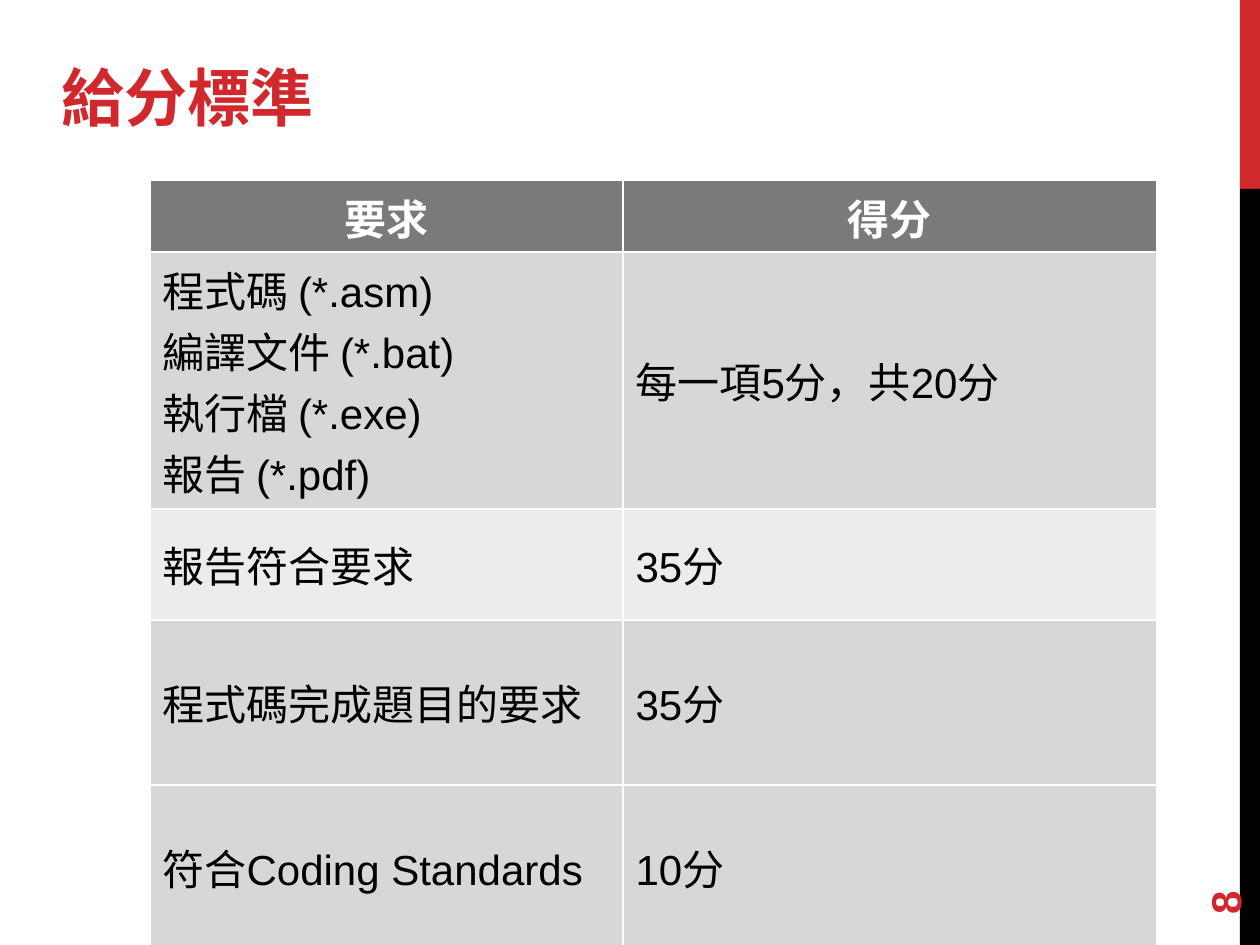
from pptx import Presentation
from pptx.dml.color import RGBColor
from pptx.enum.shapes import MSO_SHAPE as Shape
from pptx.enum.text import MSO_ANCHOR as Anchor, PP_ALIGN as Align
from pptx.util import Emu, Pt

PIXEL = 914400 // 126
RED = RGBColor(0xD1, 0x28, 0x2E)
BLACK = RGBColor(0, 0, 0)
WHITE = RGBColor(0xFF, 0xFF, 0xFF)
HEADER_GRAY = RGBColor(0x7A, 0x7A, 0x7A)
DARK_BAND = RGBColor(0xD7, 0xD7, 0xD7)
LIGHT_BAND = RGBColor(0xEC, 0xEC, 0xEC)

COLUMN_WIDTHS = (473, 534)
HEADINGS = ("要求", "得分")
# Each row: height, fill, requirement lines, score.
CRITERIA = (
    (257, DARK_BAND, ("程式碼 (*.asm)", "編譯文件 (*.bat)", "執行檔 (*.exe)", "報告 (*.pdf)"),
     "每一項5分，共20分"),
    (111, LIGHT_BAND, ("報告符合要求",), "35分"),
    (165, DARK_BAND, ("程式碼完成題目的要求",), "35分"),
    (165, DARK_BAND, ("符合Coding Standards",), "10分"),
)


def px(*lengths):
    """Turn pixel lengths into EMU."""
    return [Emu(length * PIXEL) for length in lengths]


def write_lines(frame, lines, size, color, bold=False, font="Arial", align=Align.LEFT):
    """Write one paragraph per line into a text frame."""
    for index, line in enumerate(lines):
        paragraph = frame.add_paragraph() if index else frame.paragraphs[0]
        paragraph.alignment = align
        run = paragraph.add_run()
        run.text = line
        run.font.name = font
        run.font.size = Pt(size)
        run.font.bold = bold
        run.font.color.rgb = color


def add_label(slide, box, line, size, anchor, font="Arial", rotation=0):
    """Place a bold red line of text in a box."""
    label = slide.shapes.add_textbox(*px(*box))
    label.rotation = rotation
    label.text_frame.word_wrap = True
    label.text_frame.vertical_anchor = anchor
    write_lines(label.text_frame, (line,), size, RED, True, font)


def add_side_bar(slide, box):
    """Place the red and black bar, with the red part a fifth of its height."""
    left, top, width, height = box
    split = height // 5
    for offset, length, color in ((0, split, RED), (split, height - split, BLACK)):
        part = slide.shapes.add_shape(Shape.RECTANGLE, *px(left, top + offset, width, length))
        part.shadow.inherit = False
        part.fill.solid()
        part.fill.fore_color.rgb = color
        part.line.fill.background()


def fill_cell(cell, color):
    """Give a cell a solid fill; its white borders come from the table style."""
    cell.fill.solid()
    cell.fill.fore_color.rgb = color


def add_score_table(slide, box):
    """Place the grading table in a box whose header row takes the height left over."""
    left, top, width, height = box
    table = slide.shapes.add_table(
        len(CRITERIA) + 1, len(HEADINGS), *px(left, top, width, height)).table
    for column, column_width in zip(table.columns, px(*COLUMN_WIDTHS)):
        column.width = column_width
    header_height = height - sum(row[0] for row in CRITERIA)
    table.rows[0].height = px(header_height)[0]
    for cell, heading in zip(table.rows[0].cells, HEADINGS):
        fill_cell(cell, HEADER_GRAY)
        write_lines(cell.text_frame, (heading,), 24, WHITE, True, align=Align.CENTER)

    for row_index, (row_height, color, requirement, score) in enumerate(CRITERIA, 1):
        row = table.rows[row_index]
        row.height = px(row_height)[0]
        for cell, lines in zip(row.cells, (requirement, (score,))):
            fill_cell(cell, color)
            cell.vertical_anchor = Anchor.MIDDLE
            write_lines(cell.text_frame, lines, 24, BLACK)


def build_grading_slide(deck):
    """Add the slide of grading criteria."""
    slide = deck.slides.add_slide(deck.slide_layouts[6])
    add_side_bar(slide, (1240, 0, 20, 945))
    add_label(slide, (49, 34, 616, 106), "給分標準", 36, Anchor.BOTTOM, "Montserrat")
    add_score_table(slide, (150, 180, sum(COLUMN_WIDTHS), 770))
    add_label(slide, (1134, 811, 181, 50), "8", 24, Anchor.MIDDLE, rotation=270)


deck = Presentation()
deck.slide_width, deck.slide_height = px(1260, 945)
build_grading_slide(deck)
deck.save("out.pptx")
